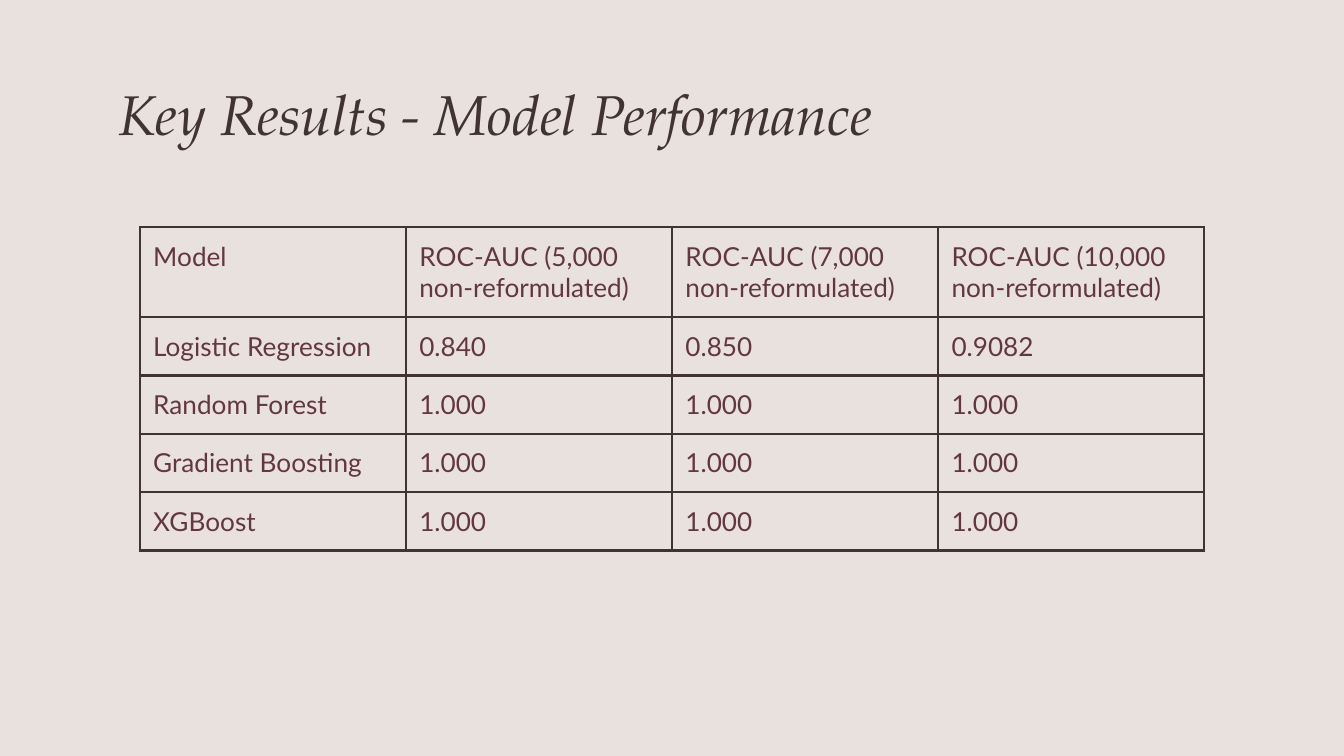
from lxml import etree
from pptx import Presentation
from pptx.dml.color import RGBColor
from pptx.enum.text import MSO_ANCHOR, PP_ALIGN
from pptx.oxml.ns import qn
from pptx.util import Inches, Pt

BACKGROUND, DARK, PLUM = "E9E1DE", "413334", "63373E"
SIZES = ["5,000", "7,000", "10,000"]
SCORES = {
    "Logistic Regression": ["0.840", "0.850", "0.9082"],
    "Random Forest": ["1.000"] * 3,
    "Gradient Boosting": ["1.000"] * 3,
    "XGBoost": ["1.000"] * 3,
}


def color(hex_code):
    return RGBColor.from_string(hex_code)


def write(tf, text, size, font, hex_code, italic=False):
    tf.word_wrap = True
    tf.vertical_anchor = MSO_ANCHOR.TOP
    p = tf.paragraphs[0]
    p.alignment = PP_ALIGN.LEFT
    r = p.add_run()
    r.text = text
    r.font.size = Pt(size)
    r.font.name = font
    r.font.italic = italic
    r.font.bold = False
    r.font.color.rgb = color(hex_code)


def set_margins(box):
    for side in ("left", "right", "top", "bottom"):
        setattr(box, f"margin_{side}", Inches(0.1))


def set_borders(cell, hex_code, width):
    tc_pr = cell._tc.get_or_add_tcPr()
    for side in ("lnL", "lnR", "lnT", "lnB"):
        ln = etree.SubElement(tc_pr, qn(f"a:{side}"), w=str(Pt(width)))
        fill = etree.SubElement(ln, qn("a:solidFill"))
        etree.SubElement(fill, qn("a:srgbClr"), val=hex_code)


def add_title(s, text, x, y, w, h):
    sp = s.shapes.title
    sp.left, sp.top, sp.width, sp.height = map(Inches, (x, y, w, h))
    set_margins(sp.text_frame)
    write(sp.text_frame, text, 30, "TeX Gyre Pagella", DARK, italic=True)


def add_score_table(s, rows, x, y, w, header_h, row_h):
    height = header_h + row_h * (len(rows) - 1)
    table = s.shapes.add_table(len(rows), len(rows[0]), Inches(x), Inches(y),
                               Inches(w), Inches(height)).table
    table.first_row = table.horz_banding = False
    for i, values in enumerate(rows):
        table.rows[i].height = Inches(row_h if i else header_h)
        for j, value in enumerate(values):
            cell = table.cell(i, j)
            set_margins(cell)
            set_borders(cell, DARK, 1.5)
            cell.fill.background()
            write(cell.text_frame, value, 14, "Lato", PLUM)


def main():
    prs = Presentation()
    prs.slide_width = Inches(10)
    prs.slide_height = prs.slide_width * 9 // 16
    s = prs.slides.add_slide(prs.slide_layouts[5])
    s.background.fill.solid()
    s.background.fill.fore_color.rgb = color(BACKGROUND)

    add_title(s, "Key Results - Model Performance", 0.78, 0.49, 6.25, 0.63)
    header = ["Model"] + [f"ROC-AUC ({n} non-reformulated)" for n in SIZES]
    rows = [header] + [[model, *scores] for model, scores in SCORES.items()]
    add_score_table(s, rows, 1.04, 1.69, 7.92, 0.67, 0.43)
    prs.save("out.pptx")


if __name__ == "__main__":
    main()
